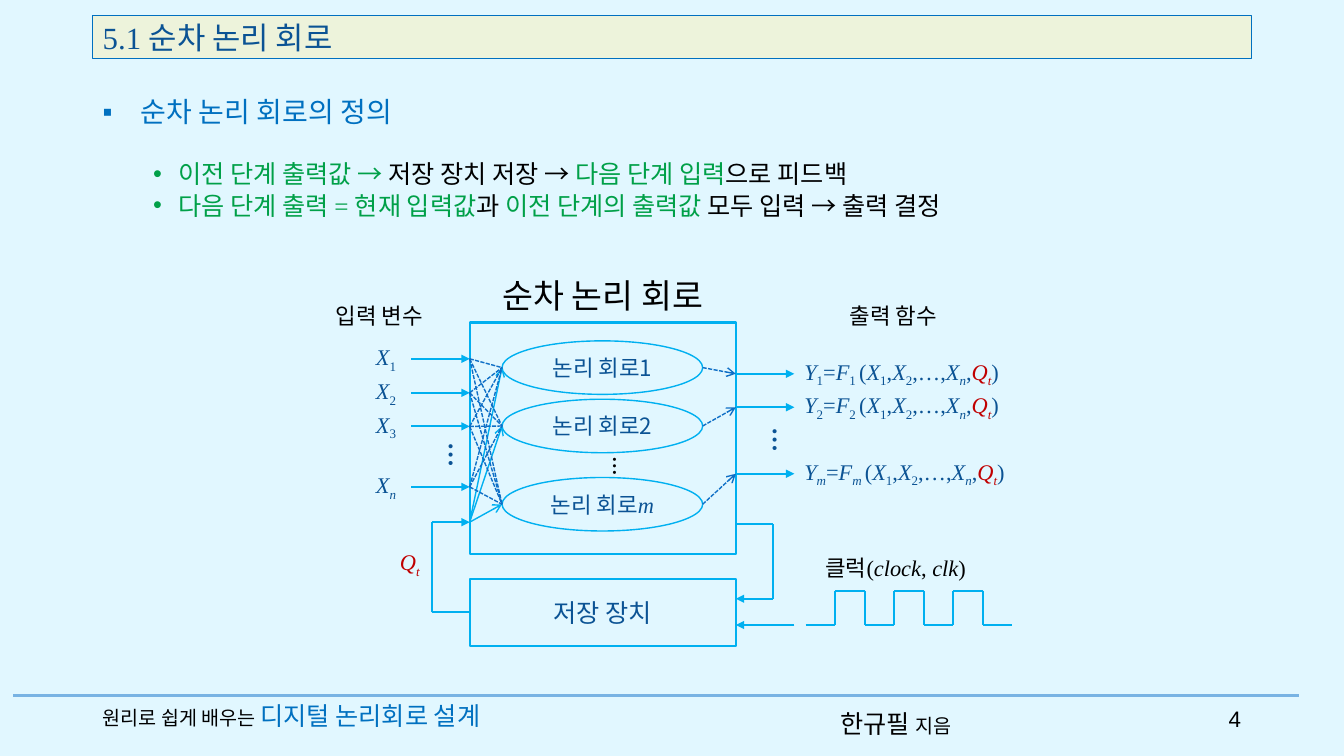
from itertools import pairwise, product

from lxml import etree
from pptx import Presentation
from pptx.dml.color import RGBColor
from pptx.enum.dml import MSO_LINE
from pptx.enum.shapes import MSO_CONNECTOR, MSO_SHAPE
from pptx.enum.text import MSO_ANCHOR, MSO_AUTO_SIZE, PP_ALIGN
from pptx.oxml.ns import qn
from pptx.util import Pt

LEFT, CENTER, RIGHT = PP_ALIGN.LEFT, PP_ALIGN.CENTER, PP_ALIGN.RIGHT
TOP, MIDDLE = MSO_ANCHOR.TOP, MSO_ANCHOR.MIDDLE
RECTANGLE, OVAL = MSO_SHAPE.RECTANGLE, MSO_SHAPE.OVAL
STRAIGHT, DASHED = MSO_CONNECTOR.STRAIGHT, MSO_LINE.SQUARE_DOT
FIXED, GROW = MSO_AUTO_SIZE.NONE, MSO_AUTO_SIZE.SHAPE_TO_FIT_TEXT

KOREAN, SERIF, SANS = "Noto Sans CJK KR", "Times New Roman", "Arial"
THEME = {
    "background": "E1F7FF", "banner": "EDF3DB", "rule": "78B3E3",
    "black": "000000", "navy": "0B5394", "blue": "0070C0", "green": "00A048",
    "red": "C00000", "cyan": "00B0F0", "dash": "0F6FC6",
    "title": 22, "diagram": 24, "heading": 20, "body": 18, "label": 16, "small": 14,
}


def style(color, size, name=KOREAN, **extra):
    return {"color": color, "size": Pt(THEME[size]), "name": name, **extra}


# Text formats
GREEN, BLACK = style("green", "body", SERIF), style("black", "body", SERIF)
LABEL, CIRCUIT = style("black", "label"), style("navy", "label")
MATH, STATE = style("navy", "label", SERIF), style("red", "label", SERIF)
CLOCK = style("black", "label", SERIF)


def symbol(name, index, base=MATH):
    """A variable with its subscript; letters are italic, digits upright."""
    return [(name, {**base, "italic": True}),
            (index, {**base, "italic": index.strip().isalpha(), "baseline": -25000})]


def output_function(index):
    return [*symbol("Y", index), ("=", MATH), *symbol("F", index + " "), ("(", MATH),
            *symbol("X", "1"), (",", MATH), *symbol("X", "2"), (",…,", MATH),
            *symbol("X", "n"), (",", MATH), *symbol("Q", "t", STATE), (")", MATH)]


# Content
TITLE = [("5.1 순차 논리 회로", style("navy", "title", SERIF))]
HEADING = [("순차 논리 회로의 정의", style("blue", "heading"))]
BULLETS = [
    [("이전 단계 출력값 →", GREEN), (" 저장 장치 저장 → ", BLACK),
     ("다음 단계 입력", GREEN), ("으로 피드백", BLACK)],
    [("다음 단계 출력 = 현재 입력값", GREEN), ("과 ", BLACK),
     ("이전 단계의 출력값", GREEN), (" 모두 입력 → 출력 결정", BLACK)],
]
BOOK = [("원리로 쉽게 배우는 ", style("black", "small", SERIF)),
        ("디지털 논리회로 설계", style("blue", "body", SERIF))]
AUTHOR = [("한규필 ", style("black", "body")), ("지음", style("black", "small"))]
PAGE = [("4", style("black", "label", SANS))]
DIAGRAM_TITLE = [("순차 논리 회로", style("black", "diagram"))]
STORAGE = [("저장 장치", style("navy", "body"))]
CLOCK_LABEL = [("클럭", LABEL), ("(", CLOCK), ("clock", {**CLOCK, "italic": True}),
               (", ", CLOCK), ("clk", {**CLOCK, "italic": True}), (")", CLOCK)]
INPUTS = {"1": 256.3, "2": 280.6, "3": 304.6, "n": 347.8}
OUTPUTS = {"1": 267, "2": 290.9, "m": 338.4}
CIRCUITS = [
    (262.6, [("논리 회로1", CIRCUIT)]),
    (304.3, [("논리 회로2", CIRCUIT)]),
    (360.2, [("논리 회로", CIRCUIT), ("m", {**MATH, "italic": True})]),
]
DOTS = [((306, 311, 32.4, 28.8), style("navy", "body", bold=True)),
        ((537.8, 300.2, 32.4, 28.8), style("navy", "body", bold=True)),
        ((424.8, 321.1, 28.8, 24.5), style("black", "small", bold=True))]

# Diagram geometry
BOX_LEFT, BOX_RIGHT, BOX_TOP, BOX_HEIGHT = 335.5, 525.6, 230.4, 165.6
BOX_WIDTH = BOX_RIGHT - BOX_LEFT
OVAL_LEFT, OVAL_WIDTH, OVAL_HEIGHT = 358.6, 143.3, 38.2
OVAL_RIGHT = OVAL_LEFT + OVAL_WIDTH
STORE_TOP, STORE_HEIGHT = 413.3, 48.2
STORE_MIDDLE = STORE_TOP + STORE_HEIGHT / 2
ARROW, LABEL_RISE, LABEL_HEIGHT = 41.8, 14.8, 26.6
LOOP_LEFT, LOOP_RIGHT, LOOP_IN, LOOP_OUT, LOOP_STORE = 308.7, 552, 373, 374.4, 427.7
CLOCK_LEFT, CLOCK_STEP, CLOCK_HIGH, CLOCK_LOW = 575.5, 21.1, 421.9, 446.4

presentation = Presentation()
presentation.slide_width, presentation.slide_height = Pt(960), Pt(540)
slide = presentation.slides.add_slide(presentation.slide_layouts[1])


def rgb(name):
    return RGBColor.from_string(THEME[name])


def write(shape, paragraphs, align=LEFT, anchor=TOP, wrap=True, fit=FIXED,
          bullet=None, indent=(0, 0), gap=0, spacing=1.0):
    frame = shape.text_frame
    for key, value in {"word_wrap": wrap, "auto_size": fit, "vertical_anchor": anchor}.items():
        setattr(frame, key, value)
    for number, runs in enumerate(paragraphs):
        paragraph = frame.add_paragraph() if number else frame.paragraphs[0]
        properties = paragraph._p.get_or_add_pPr()
        if bullet:
            properties.set("marL", str(Pt(indent[0])))
            properties.set("indent", str(Pt(indent[1])))
            etree.SubElement(properties, qn("a:buFont"), typeface=SANS)
            etree.SubElement(properties, qn("a:buChar"), char=bullet)
        layout = {"alignment": align, "line_spacing": spacing, "space_after": Pt(0),
                  "space_before": Pt(gap if number else 0)}
        for key, value in layout.items():
            setattr(paragraph, key, value)
        for text, formats in runs:
            run = paragraph.add_run()
            run.text = text
            for key, value in formats.items():
                if key == "color":
                    run.font.color.rgb = rgb(value)
                elif key == "baseline":
                    run._r.get_or_add_rPr().set(key, str(value))
                else:
                    setattr(run.font, key, value)
            etree.SubElement(run._r.get_or_add_rPr(), qn("a:ea"), typeface=KOREAN)


def place(shape, box):
    for key, value in zip(("left", "top", "width", "height"), box):
        setattr(shape, key, Pt(value))


def add_text(box, runs, **formats):
    shape = slide.shapes.add_textbox(*map(Pt, box))
    write(shape, [runs], **formats)
    return shape


def add_label(box, runs):
    return add_text(box, runs, wrap=False, fit=GROW)


def add_outline(kind, box, width, runs=()):
    shape = slide.shapes.add_shape(kind, *map(Pt, box))
    shape.shadow.inherit = False
    shape.fill.background()
    shape.line.color.rgb = rgb("cyan")
    shape.line.width = Pt(width)
    if runs:
        write(shape, [runs], align=CENTER, anchor=MIDDLE)


def add_line(start, end, color="cyan", width=1.5, dash=None, arrow=None):
    line = slide.shapes.add_connector(STRAIGHT, *map(Pt, (*start, *end)))
    line.line.color.rgb = rgb(color)
    line.line.width = Pt(width)
    if dash:
        line.line.dash_style = dash
    if arrow:
        etree.SubElement(line.line._get_or_add_ln(), qn("a:tailEnd"), type=arrow)
    etree.SubElement(line._element.spPr, qn("a:effectLst"))


def add_path(points, arrow=None):
    pairs = list(pairwise(points))
    for start, end in pairs:
        add_line(start, end, arrow=arrow if end == points[-1] else None)


# Background and footer
slide.background.fill.solid()
slide.background.fill.fore_color.rgb = rgb("background")
add_line((9.4, 496.8), (928, 496.8), "rule", 2.5)
add_text((593.3, 502.6, 110.2, 28.8), AUTHOR)
add_text((848.9, 500.4, 44.6, 28.8), PAGE, align=RIGHT)
add_text((66.2, 496.8, 333.4, 28.8), BOOK)

# Title, heading and list
title, body = slide.shapes.title, slide.placeholders[1]
place(title, (66.2, 10.8, 828, 31))
title.fill.solid()
title.fill.fore_color.rgb = rgb("banner")
title.line.color.rgb = rgb("blue")
title.line.width = Pt(0.75)
write(title, [TITLE], anchor=MIDDLE)
place(body, (66.2, 109.4, 828, 69.1))
write(body, BULLETS, bullet="•", indent=(54, -18), gap=1)
add_text((66.2, 67, 480.2, 31.7), HEADING, bullet="▪", indent=(27.4, -27.4), spacing=0.9)

# Circuit box and headings
add_outline(RECTANGLE, (BOX_LEFT, BOX_TOP, BOX_WIDTH, BOX_HEIGHT), 1.5)
add_text((BOX_LEFT, 193, BOX_WIDTH, 36), DIAGRAM_TITLE, align=CENTER)
add_text((232.6, 212.4, 95, LABEL_HEIGHT), [("입력 변수", LABEL)])
add_text((599.8, 212.4, 94.3, LABEL_HEIGHT), [("출력 함수", LABEL)])

# Inputs, logic circuits and outputs
for index, y in INPUTS.items():
    add_line((BOX_LEFT - ARROW, y), (BOX_LEFT, y), arrow="triangle")
    add_label((261.4, y - LABEL_RISE, 29.5, LABEL_HEIGHT), symbol("X", index))
for y, runs in CIRCUITS:
    add_outline(OVAL, (OVAL_LEFT, y - OVAL_HEIGHT / 2, OVAL_WIDTH, OVAL_HEIGHT), 1, runs)
    add_line((BOX_LEFT, LOOP_IN), (OVAL_LEFT, y), width=1, arrow="arrow")
for start, (end, _) in product(INPUTS.values(), CIRCUITS):
    add_line((BOX_LEFT, start), (OVAL_LEFT, end), "dash", 1, DASHED)
for (index, y), (start, _) in zip(OUTPUTS.items(), CIRCUITS):
    add_line((OVAL_RIGHT, start), (BOX_RIGHT, y), "dash", 1, DASHED, "arrow")
    add_line((BOX_RIGHT, y), (BOX_RIGHT + ARROW, y), arrow="triangle")
    add_label((567.4, y - LABEL_RISE, 159.8, LABEL_HEIGHT), output_function(index))
for box, formats in DOTS:
    add_label(box, [("…", formats)]).rotation = 90

# Storage and feedback loop
add_outline(RECTANGLE, (BOX_LEFT, STORE_TOP, BOX_WIDTH, STORE_HEIGHT), 1.5, STORAGE)
add_path([(BOX_LEFT, STORE_MIDDLE), (LOOP_LEFT, STORE_MIDDLE),
          (LOOP_LEFT, LOOP_IN), (BOX_LEFT, LOOP_IN)], "triangle")
add_path([(BOX_RIGHT, LOOP_OUT), (LOOP_RIGHT, LOOP_OUT),
          (LOOP_RIGHT, LOOP_STORE), (BOX_RIGHT, LOOP_STORE)], "triangle")
add_label((278.6, 388.1, 29.5, LABEL_HEIGHT), symbol("Q", "t", STATE))

# Clock signal
add_line((BOX_RIGHT + ARROW, CLOCK_LOW), (BOX_RIGHT, CLOCK_LOW), arrow="triangle")
add_label((582.5, 392.4, 118.8, LABEL_HEIGHT), CLOCK_LABEL)
add_path([(CLOCK_LEFT + CLOCK_STEP * (step + side), CLOCK_HIGH if step % 2 else CLOCK_LOW)
          for step in range(7) for side in (0, 1)])

presentation.save("out.pptx")
